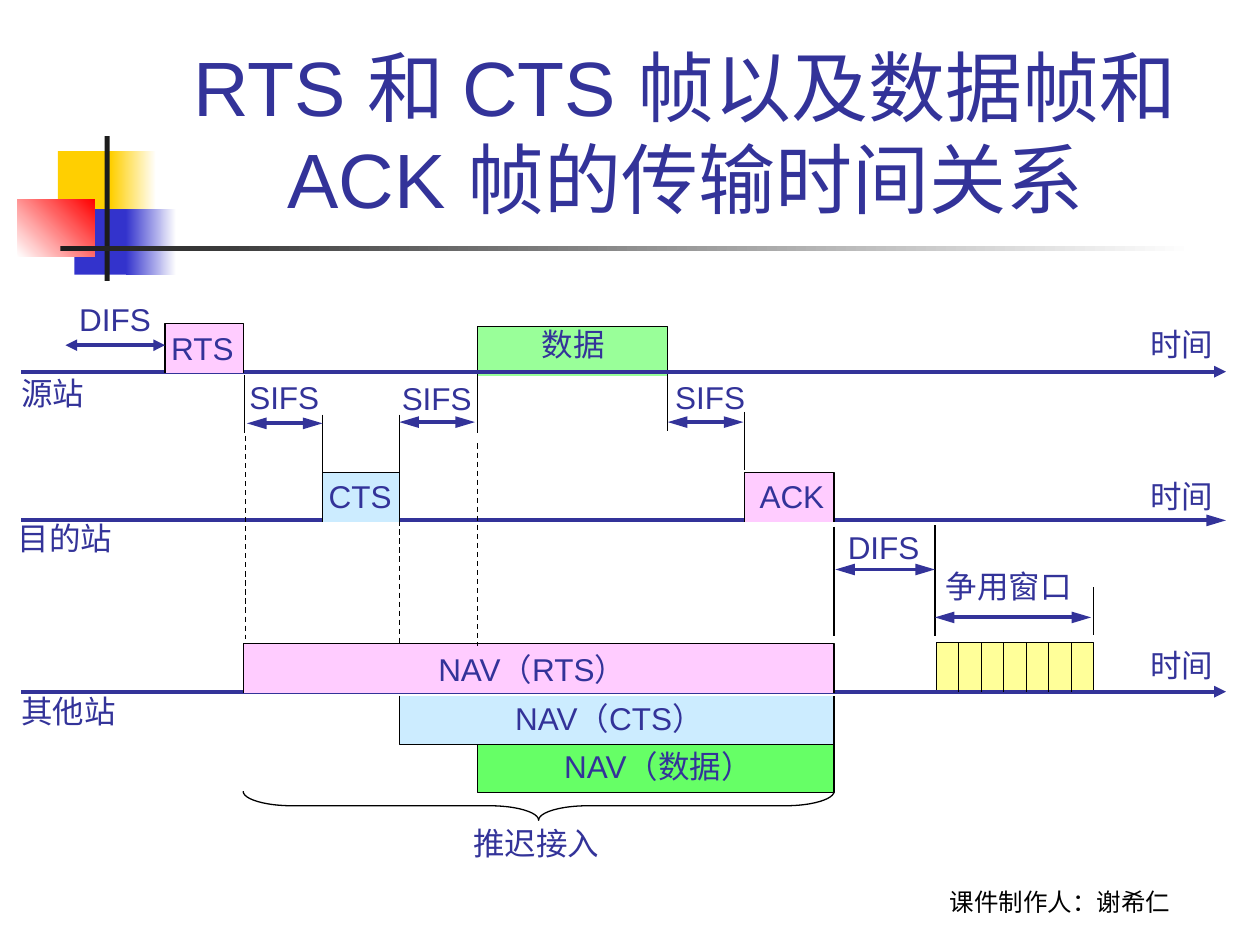
from dataclasses import dataclass
from typing import NamedTuple, Optional

from lxml.etree import SubElement
from pptx import Presentation
from pptx.dml.color import RGBColor
from pptx.enum.dml import MSO_LINE
from pptx.enum.shapes import MSO_CONNECTOR, MSO_SHAPE
from pptx.enum.text import MSO_ANCHOR, MSO_AUTO_SIZE, PP_ALIGN
from pptx.oxml.ns import qn
from pptx.util import Inches, Pt


@dataclass(frozen=True)
class Theme:
    ink: str = "333399"
    black: str = "000000"
    white: str = "FFFFFF"
    charcoal: str = "1C1C1C"
    gold: str = "FFCF01"
    blue: str = "3333CC"
    red: str = "FF0000"
    pink: str = "FFCCFF"
    sky: str = "CCECFF"
    mint: str = "99FF99"
    green: str = "66FF66"
    yellow: str = "FFFF99"
    font: str = "Arial"
    credit_font: str = "Lato"
    title_size: int = 44
    label_size: int = 18
    credit_size: int = 14
    thin: float = 0.75
    thick: float = 2.25


THEME = Theme()


class Ornament(NamedTuple):
    left: float
    top: float
    width: float
    height: float
    color: str
    fade_to: Optional[str] = None
    angle: int = 0


class Frame(NamedTuple):
    left: float
    top: float
    width: float
    height: float
    color: str
    open_top: bool = False


class Label(NamedTuple):
    text: str
    left: float
    top: float
    width: float
    align: PP_ALIGN = PP_ALIGN.LEFT


class Segment(NamedTuple):
    x1: float
    y1: float
    x2: float
    y2: float


ORNAMENTS = [
    Ornament(0.46, 1.2, 0.48, 0.52, THEME.gold),
    Ornament(0.88, 1.2, 0.36, 0.52, THEME.gold, THEME.white),
    Ornament(0.59, 1.66, 0.46, 0.52, THEME.blue),
    Ornament(1, 1.66, 0.4, 0.52, THEME.blue, THEME.white),
    Ornament(0.14, 1.58, 0.61, 0.46, THEME.white, THEME.red, 45),
    Ornament(0.83, 1.08, 0.04, 1.15, THEME.charcoal),
    Ornament(0.48, 1.95, 9, 0.04, THEME.charcoal, THEME.white),
]
SLOTS = Frame(7.43, 5.1, 1.25, 0.39, THEME.yellow)
SLOT_COUNT = 7
BACK_FRAMES = [
    Frame(3.79, 5.9, 2.83, 0.39, THEME.green, True),
    Frame(3.79, 2.59, 1.51, 0.39, THEME.mint),
    SLOTS,
]
FRONT_FRAMES = [
    Frame(1.31, 2.57, 0.62, 0.39, THEME.pink),
    Frame(1.93, 5.11, 4.69, 0.39, THEME.pink),
    Frame(5.91, 3.75, 0.71, 0.39, THEME.pink),
    Frame(2.56, 3.75, 0.61, 0.39, THEME.sky),
    Frame(3.17, 5.52, 3.45, 0.39, THEME.sky, True),
]
AXES = [Segment(0.17, y, 9.73, y) for y in (2.95, 4.13, 5.49)]
FIRST_INTERVAL = Segment(0.52, 2.74, 1.31, 2.74)
INTERVALS = [
    Segment(1.96, 3.36, 2.56, 3.36),
    Segment(3.17, 3.35, 3.77, 3.35),
    Segment(5.3, 3.35, 5.9, 3.35),
    Segment(6.63, 4.52, 7.42, 4.52),
    Segment(7.42, 4.9, 8.66, 4.9),
]
MARKERS = [
    Segment(1.94, 2.98, 1.94, 3.44),
    Segment(2.56, 3.29, 2.56, 3.75),
    Segment(3.17, 3.29, 3.17, 3.75),
    Segment(3.79, 2.98, 3.79, 3.44),
    Segment(5.3, 2.97, 5.3, 3.42),
    Segment(5.91, 3.27, 5.91, 3.73),
    Segment(6.62, 4.18, 6.62, 5.05),
    Segment(7.42, 4.17, 7.42, 5.05),
    Segment(8.68, 4.66, 8.68, 5.04),
]
DASHES = [
    Segment(1.95, 3.46, 1.95, 5.07),
    Segment(3.17, 4.13, 3.17, 5.13),
    Segment(3.79, 3.52, 3.79, 5.13),
]
LABELS = [
    *(Label("时间", 9.03, top, 0.7) for top in (2.53, 3.74, 5.08)),
    Label("源站", 0.07, 2.92, 0.7, PP_ALIGN.CENTER),
    Label("目的站", 0.04, 4.07, 0.95, PP_ALIGN.CENTER),
    Label("其他站", 0.07, 5.44, 0.95, PP_ALIGN.CENTER),
    Label("DIFS", 0.53, 2.33, 0.82),
    Label("DIFS", 6.63, 4.14, 0.82),
    Label("SIFS", 1.88, 2.95, 0.82),
    Label("SIFS", 3.09, 2.96, 0.82),
    Label("SIFS", 5.26, 2.95, 0.82),
    Label("RTS", 1.26, 2.56, 0.75),
    Label("CTS", 2.51, 3.74, 0.75),
    Label("ACK", 5.88, 3.74, 0.81, PP_ALIGN.CENTER),
    Label("数据", 4.2, 2.53, 0.7, PP_ALIGN.CENTER),
    Label("争用窗口", 7.41, 4.45, 1.2),
    Label("推迟接入", 3.66, 6.49, 1.2),
    Label("NAV（RTS）", 3.38, 5.11, 1.89),
    Label("NAV（CTS）", 3.99, 5.5, 1.89),
    Label("NAV（数据）", 4.38, 5.88, 1.77),
]


def rgb(color: str) -> RGBColor:
    return RGBColor.from_string(color)


def write(box, text: str, size: int, color: str, font: str, align: PP_ALIGN) -> None:
    para = box.text_frame.paragraphs[0]
    para.alignment = align
    span = para.add_run()
    span.text = text
    span.font.size = Pt(size)
    span.font.name = font
    span.font.color.rgb = rgb(color)


def draw_ornament(page, item: Ornament) -> None:
    shape = page.shapes.add_shape(MSO_SHAPE.RECTANGLE, *(Inches(value) for value in item[:4]))
    shape.shadow.inherit = False
    shape.line.fill.background()
    if item.fade_to is None:
        shape.fill.solid()
        shape.fill.fore_color.rgb = rgb(item.color)
        return
    shape.fill.gradient()
    shape.fill.gradient_angle = item.angle
    for stop, color in zip(shape.fill.gradient_stops, (item.color, item.fade_to)):
        stop.color.rgb = rgb(color)


def draw_frame(page, frame: Frame) -> None:
    top, bottom = frame.top, frame.top + frame.height
    start, far = (top, bottom) if frame.open_top else (bottom, top)
    right = frame.left + frame.width
    outline = page.shapes.build_freeform(Inches(frame.left), Inches(start))
    corners = [(frame.left, far), (right, far), (right, start)]
    outline.add_line_segments([(Inches(x), Inches(y)) for x, y in corners], close=False)
    shape = outline.convert_to_shape()
    shape.shadow.inherit = False
    shape.fill.solid()
    shape.fill.fore_color.rgb = rgb(frame.color)
    shape.line.color.rgb = rgb(THEME.black)
    shape.line.width = Pt(THEME.thin)


def draw_line(page, segment: Segment, color: str, width: float, arrows: tuple = (),
              arrow_length: str = "med", dashed: bool = False) -> None:
    line = page.shapes.add_connector(MSO_CONNECTOR.STRAIGHT, *(Inches(value) for value in segment))
    line.line.color.rgb = rgb(color)
    line.line.width = Pt(width)
    if dashed:
        line.line.dash_style = MSO_LINE.DASH
    properties = line._element.spPr
    for arrow in arrows:
        SubElement(properties.find(qn("a:ln")), qn(f"a:{arrow}"), type="triangle", len=arrow_length)
    SubElement(properties, qn("a:effectLst"))


def draw_label(page, label: Label) -> None:
    box = page.shapes.add_textbox(Inches(label.left), Inches(label.top), Inches(label.width), Inches(0.4))
    box.text_frame.word_wrap = False
    box.text_frame.auto_size = MSO_AUTO_SIZE.NONE
    write(box, label.text, THEME.label_size, THEME.ink, THEME.font, label.align)


def draw_brace(page) -> None:
    brace = page.shapes.add_shape(MSO_SHAPE.LEFT_BRACE, Inches(4.16), Inches(4.05), Inches(0.23), Inches(4.69))
    brace.rotation = 270
    brace.adjustments[0] = 1.7
    brace.shadow.inherit = False
    brace.fill.background()
    brace.line.color.rgb = rgb(THEME.black)
    brace.line.width = Pt(THEME.thin)


def draw_title(page) -> None:
    title = page.shapes.title
    title.left, title.top, title.width, title.height = Inches(1), Inches(0.23), Inches(8.88), Inches(1.6)
    title.text_frame.vertical_anchor = MSO_ANCHOR.BOTTOM
    title.text_frame.auto_size = MSO_AUTO_SIZE.NONE
    text = "RTS 和 CTS 帧以及数据帧和ACK 帧的传输时间关系"
    write(title, text, THEME.title_size, THEME.ink, THEME.font, PP_ALIGN.CENTER)


def draw_credit(page) -> None:
    box = page.shapes.add_textbox(Inches(6.83), Inches(6.82), Inches(3.17), Inches(0.5))
    box.text_frame.word_wrap = True
    box.text_frame.vertical_anchor = MSO_ANCHOR.BOTTOM
    write(box, "课件制作人：谢希仁", THEME.credit_size, THEME.black, THEME.credit_font, PP_ALIGN.CENTER)


def main() -> None:
    deck = Presentation()
    deck.slide_width, deck.slide_height = Inches(10), Inches(7.5)
    page = deck.slides.add_slide(deck.slide_layouts[5])
    for item in ORNAMENTS:
        draw_ornament(page, item)
    draw_title(page)
    draw_credit(page)
    for frame in BACK_FRAMES:
        draw_frame(page, frame)
    for axis, length in zip(AXES, ("med", "lg", "med")):
        draw_line(page, axis, THEME.ink, THEME.thick, ("tailEnd",), length)
    for frame in FRONT_FRAMES:
        draw_frame(page, frame)
    edges = [SLOTS.left + index * SLOTS.width / SLOT_COUNT for index in range(1, SLOT_COUNT)]
    dividers = [Segment(x, SLOTS.top, x, SLOTS.top + SLOTS.height) for x in edges]
    for marker in dividers + MARKERS:
        draw_line(page, marker, THEME.black, THEME.thin)
    for dash in DASHES:
        draw_line(page, dash, THEME.black, THEME.thin, dashed=True)
    both_ends = ("headEnd", "tailEnd")
    draw_line(page, FIRST_INTERVAL, THEME.ink, THEME.thick, both_ends)
    for interval in INTERVALS:
        draw_line(page, interval, THEME.ink, THEME.thick, both_ends, "lg")
    draw_brace(page)
    for label in LABELS:
        draw_label(page, label)
    deck.save("out.pptx")


if __name__ == "__main__":
    main()
